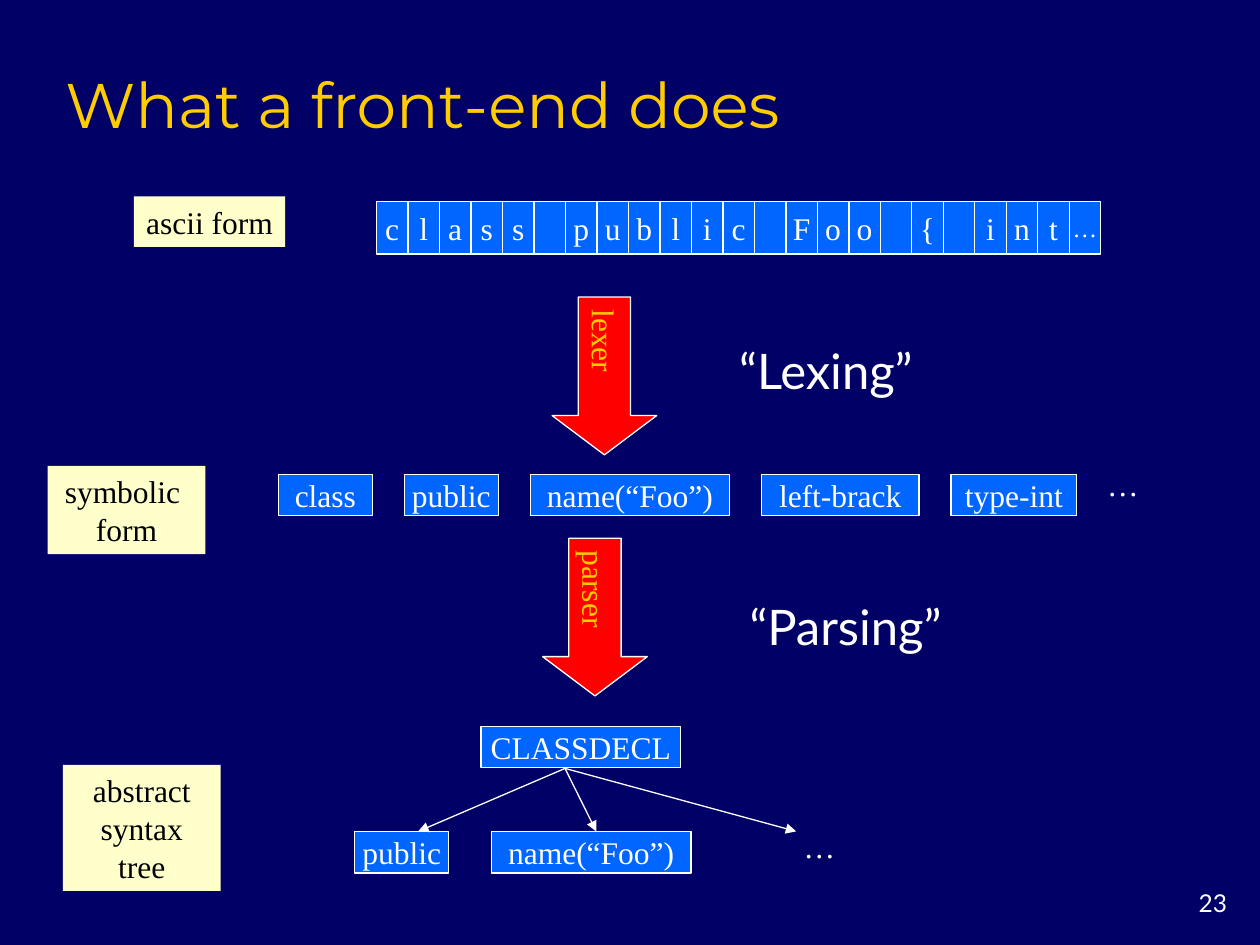
import pptx
import pptx.dml.color
import pptx.enum.shapes
import pptx.enum.text
import pptx.oxml
import pptx.oxml.ns
import pptx.util

Cm = pptx.util.Cm
Pt = pptx.util.Pt
RGBColor = pptx.dml.color.RGBColor
Shape = pptx.enum.shapes.MSO_SHAPE
Align = pptx.enum.text.PP_ALIGN
Anchor = pptx.enum.text.MSO_ANCHOR

NAVY = RGBColor(0x00, 0x00, 0x66)
BLUE = RGBColor(0x00, 0x66, 0xFF)
RED = RGBColor(0xFF, 0x00, 0x00)
GOLD = RGBColor(0xFF, 0xCC, 0x00)
CREAM = RGBColor(0xFF, 0xFF, 0xCC)
WHITE = RGBColor(0xFF, 0xFF, 0xFF)
BLACK = RGBColor(0x00, 0x00, 0x00)
SERIF, SANS, DISPLAY = "Times New Roman", "Lato", "Montserrat"

# Positions and sizes are in centimetres: left, top, width, height.
TITLE = ("What a front-end does", (1.07, 1.07, 21.59, 1.9))
PAGE_NUMBER = ("23", (23.28, 17.78, 1.71, 0.85))
SOURCE_TEXT = "class public Foo { int…"
SOURCE_ROW = (7.59, 4.06, 14.6, 1.06)
TOKENS = [("class", 1.9), ("public", 1.9), ("name(“Foo”)", 4.02),
          ("left-brack", 3.18), ("type-int", 2.54)]
TOKEN_LEFT, TOKEN_TOP, TOKEN_GAP, TOKEN_HEIGHT = 5.61, 9.56, 0.64, 0.84
TOKEN_DOTS = (22.07, 9.25, 1.14, 1.02)
FORM_LABELS = [
    (["ascii form"], (2.7, 3.96, 3.05, 1.02)),
    (["symbolic ", "form"], (0.96, 9.39, 3.18, 1.78)),
    (["abstract", "syntax", "tree"], (1.27, 15.42, 3.18, 2.54)),
]
STAGES = [("lexer", (11.13, 5.99)), ("parser", (10.94, 10.85))]
STAGE_SIZE = (2.11, 3.18)
STAGE_NAMES = [("“Lexing”", (14.15, 6.73, 5.0, 1.45)),
               ("“Parsing”", (14.25, 11.89, 5.59, 1.45))]
TREE_NODES = [("CLASSDECL", (9.7, 14.64, 4.02, TOKEN_HEIGHT)),
              ("public", (7.15, 16.76, 1.9, TOKEN_HEIGHT)),
              ("name(“Foo”)", (9.91, 16.76, 4.02, TOKEN_HEIGHT))]
TREE_DOTS = (15.95, 16.54, 1.14, 1.02)
BRANCH_START = (11.39, 15.49)
BRANCH_ENDS = [(8.43, 16.76), (12.02, 16.76), (16.05, 16.76)]


def write(box, text, font=SERIF, size=18, color=WHITE, align=Align.CENTER,
          anchor=Anchor.MIDDLE, wrap=False):
    """Fill a box with one paragraph per string in text."""
    frame = box.text_frame
    frame.word_wrap = wrap
    frame.vertical_anchor = anchor
    lines = [text] if isinstance(text, str) else text
    for index, line in enumerate(lines):
        para = frame.add_paragraph() if index else frame.paragraphs[0]
        para.alignment = align
        span = para.add_run()
        span.text = line
        span.font.name = font
        span.font.size = Pt(size)
        span.font.color.rgb = color


def add_text(shapes, text, place, **style):
    write(shapes.add_textbox(*map(Cm, place)), text, **style)


def add_block(shapes, place, fill, kind=Shape.RECTANGLE, outlined=True):
    block = shapes.add_shape(kind, *map(Cm, place))
    block.shadow.inherit = False
    block.fill.solid()
    block.fill.fore_color.rgb = fill
    if outlined:
        block.line.color.rgb = WHITE
        block.line.width = Pt(0.75)
    else:
        block.line.fill.background()
    return block


def add_node(shapes, text, place, size=18):
    """Add a blue outlined box, left empty when the text is a space."""
    node = add_block(shapes, place, BLUE)
    if text.strip():
        write(node, text, size=size)


def add_branch(shapes, start, end):
    branch = shapes.add_connector(pptx.enum.shapes.MSO_CONNECTOR.STRAIGHT,
                                  *map(Cm, start + end))
    branch.line.color.rgb = WHITE
    branch.line.width = Pt(0.75)
    head = pptx.oxml.parse_xml(
        f'<a:tailEnd {pptx.oxml.ns.nsdecls("a")} type="triangle"/>')
    branch.line._get_or_add_ln().append(head)
    branch._element.spPr.append(pptx.oxml.parse_xml(
        f'<a:effectLst {pptx.oxml.ns.nsdecls("a")}/>'))


def add_stage(shapes, text, corner):
    """Add a red down arrow whose label runs downwards."""
    arrow = add_block(shapes, corner + STAGE_SIZE, RED, kind=Shape.DOWN_ARROW)
    arrow.adjustments[0] = 0.5
    arrow.adjustments[1] = 0.375
    write(arrow, text, color=GOLD)
    frame = arrow.text_frame
    frame.margin_left = frame.margin_right = Cm(0.13)
    frame.margin_top = frame.margin_bottom = Cm(0.25)
    frame._txBody.bodyPr.set("vert", "eaVert")


def main():
    deck = pptx.Presentation()
    deck.slide_width, deck.slide_height = Cm(25.4), Cm(19.05)
    page = deck.slides.add_slide(deck.slide_layouts[6])
    page.background.fill.solid()
    page.background.fill.fore_color.rgb = NAVY
    shapes = page.shapes

    add_text(shapes, *PAGE_NUMBER, font=SANS, size=14, align=Align.RIGHT,
             anchor=Anchor.TOP, wrap=True)
    add_text(shapes, *TITLE, font=DISPLAY, size=36, color=GOLD,
             align=Align.LEFT, anchor=Anchor.BOTTOM, wrap=True)

    source_row = shapes.add_group_shape().shapes
    left, top, width, height = SOURCE_ROW
    cell = width / len(SOURCE_TEXT)
    for index, letter in enumerate(SOURCE_TEXT):
        add_node(source_row, letter, (left + index * cell, top, cell, height),
                 size=14 if letter == "…" else 18)

    left = TOKEN_LEFT
    for token, width in TOKENS:
        add_node(shapes, token, (left, TOKEN_TOP, width, TOKEN_HEIGHT))
        left += width + TOKEN_GAP
    add_text(shapes, "…", TOKEN_DOTS, align=Align.LEFT, anchor=Anchor.TOP)

    for lines, place in FORM_LABELS:
        label = add_block(shapes, place, CREAM, outlined=False)
        write(label, lines, color=BLACK, anchor=Anchor.TOP, wrap=len(lines) > 1)
    for text, corner in STAGES:
        add_stage(shapes, text, corner)
    for text, place in STAGE_NAMES:
        add_text(shapes, text, place, font=SANS, size=28)

    tree = shapes.add_group_shape().shapes
    for text, place in TREE_NODES:
        add_node(tree, text, place)
    for end in BRANCH_ENDS:
        add_branch(tree, BRANCH_START, end)
    add_text(tree, "…", TREE_DOTS, align=Align.LEFT, anchor=Anchor.TOP)

    deck.save("out.pptx")


if __name__ == "__main__":
    main()
